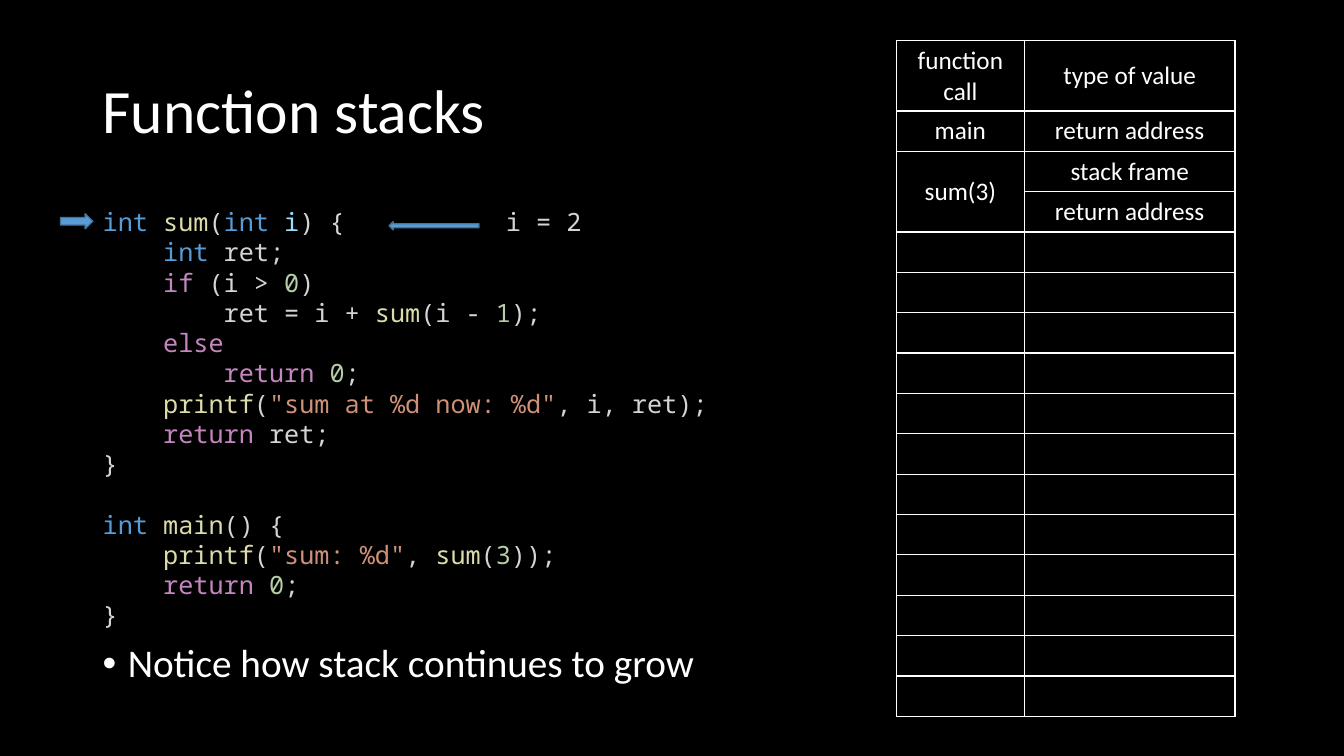
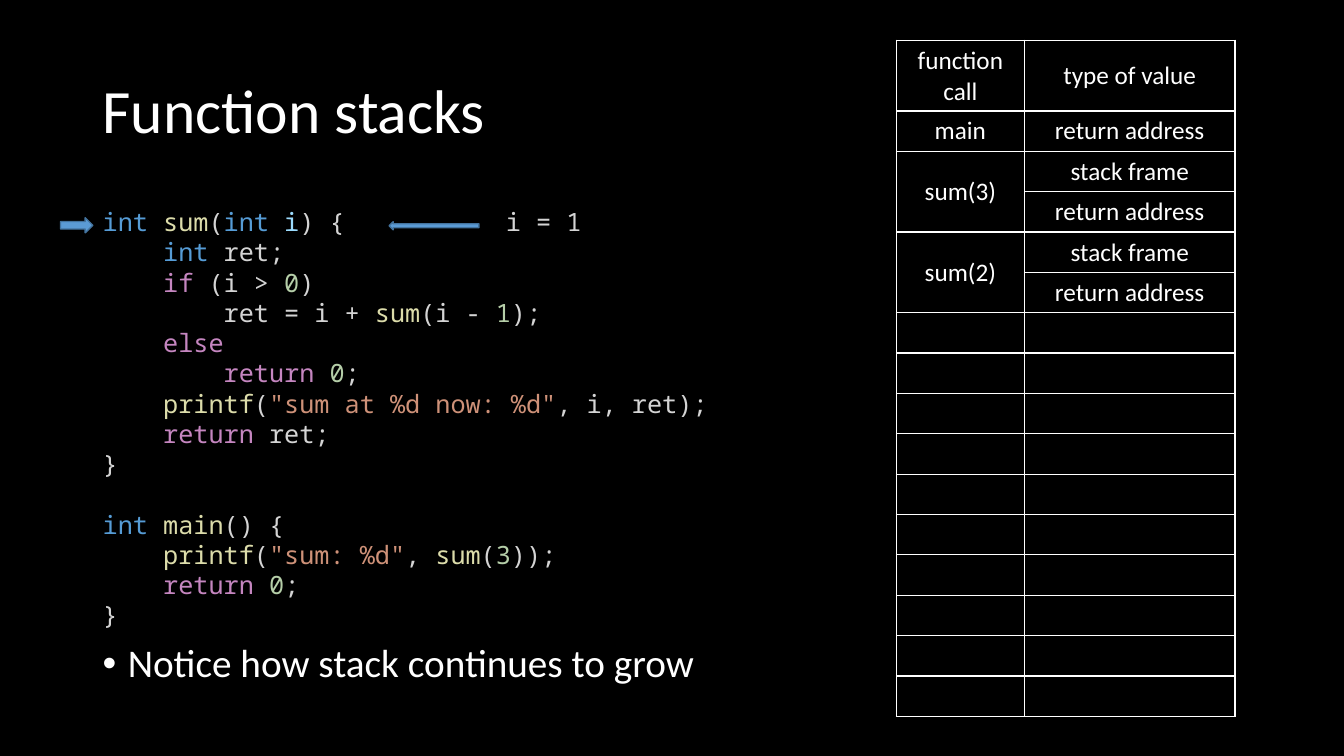
from dataclasses import dataclass
from typing import Any, NamedTuple

from lxml import etree
from pptx import Presentation
from pptx import util as u
from pptx.dml.color import RGBColor
from pptx.enum import shapes, text
from pptx.oxml import ns

BLACK = RGBColor(0x00, 0x00, 0x00)
WHITE = RGBColor(0xFF, 0xFF, 0xFF)
ARROW_FILL = RGBColor(0x5B, 0x9B, 0xD5)
ARROW_LINE = RGBColor(0x43, 0x73, 0x9E)
KEYWORD = RGBColor(0x56, 0x9C, 0xD6)
CONTROL = RGBColor(0xC5, 0x86, 0xC0)
FUNCTION = RGBColor(0xDC, 0xDC, 0xAA)
PARAMETER = RGBColor(0x9C, 0xDC, 0xFE)
NUMBER = RGBColor(0xB5, 0xCE, 0xA8)
STRING = RGBColor(0xCE, 0x91, 0x78)
PLAIN = RGBColor(0xD4, 0xD4, 0xD4)

TITLE_FONT = {"name": "Calibri", "size": u.Pt(44)}
BODY_FONT = {"name": "Calibri", "size": u.Pt(28)}
TABLE_FONT = {"name": "Calibri", "size": u.Pt(18)}
CODE_FONT = {"name": "Noto Sans Mono", "size": u.Pt(18)}

ROW_COUNT = 16
HEADER_HEIGHT = u.Inches(0.7)
ROW_HEIGHT = u.Inches(0.4)
COLUMN_WIDTHS = (u.Inches(1.27), u.Inches(2.09))
CODE_INDENT = u.Inches(0.6)


class Box(NamedTuple):
    left: float
    top: float
    width: float
    height: float

    def lengths(self) -> list[u.Length]:
        return [u.Inches(value) for value in self]


class Token(NamedTuple):
    text: str
    color: RGBColor = PLAIN


@dataclass(frozen=True)
class CodeLine:
    level: int
    tokens: tuple[Token, ...]
    space_before: float = 0


@dataclass(frozen=True)
class Step:
    argument: int
    stacked_calls: tuple[str, ...]
    pointer_top: float


STEPS = (
    Step(2, ("sum(3)",), 2.12),
    Step(1, ("sum(3)", "sum(2)"), 2.16),
)

RETURN_ZERO = (Token("return ", CONTROL), Token("0", NUMBER), Token(";"))

CODE = (
    CodeLine(0, (Token("int ", KEYWORD), Token("sum", FUNCTION), Token("("),
                 Token("int ", KEYWORD), Token("i", PARAMETER), Token(") {"))),
    CodeLine(1, (Token("int", KEYWORD), Token(" ret;"))),
    CodeLine(1, (Token("if", CONTROL), Token(" (i > "), Token("0", NUMBER), Token(")"))),
    CodeLine(2, (Token("ret = i + "), Token("sum", FUNCTION), Token("(i - "),
                 Token("1", NUMBER), Token(");"))),
    CodeLine(1, (Token("else", CONTROL),)),
    CodeLine(2, RETURN_ZERO),
    CodeLine(1, (Token("printf", FUNCTION), Token("("),
                 Token('"sum at %d now: %d"', STRING), Token(", i, ret);"))),
    CodeLine(1, (Token("return", CONTROL), Token(" ret;"))),
    CodeLine(0, (Token("}"),)),
    CodeLine(0, (Token("int ", KEYWORD), Token("main", FUNCTION), Token("() {")), 21.6),
    CodeLine(1, (Token("printf", FUNCTION), Token("("), Token('"sum: %d"', STRING),
                 Token(", "), Token("sum", FUNCTION), Token("("), Token("3", NUMBER),
                 Token("));"))),
    CodeLine(1, RETURN_ZERO),
    CodeLine(0, (Token("}"),)),
)


def apply_format(target: Any, values: dict[str, Any]) -> None:
    for name, value in values.items():
        setattr(target, name, value)


def add_run(paragraph: Any, content: str, font: dict[str, Any], color: RGBColor) -> None:
    run = paragraph.add_run()
    run.text = content
    apply_format(run.font, font)
    run.font.color.rgb = color


def add_text_frame(slide: Any, box: Box, anchor: Any = text.MSO_ANCHOR.TOP) -> Any:
    frame = slide.shapes.add_textbox(*box.lengths()).text_frame
    apply_format(frame, {"word_wrap": True, "vertical_anchor": anchor})
    return frame


def add_title(slide: Any, content: str) -> None:
    frame = add_text_frame(slide, Box(0.92, 0.4, 11.5, 1.45), text.MSO_ANCHOR.MIDDLE)
    paragraph = frame.paragraphs[0]
    paragraph.line_spacing = 0.9
    add_run(paragraph, content, TITLE_FONT, WHITE)


def add_bullet(slide: Any, content: str) -> None:
    paragraph = add_text_frame(slide, Box(0.92, 6.34, 11.5, 0.76)).paragraphs[0]
    apply_format(paragraph, {"line_spacing": 0.9, "space_before": u.Pt(10)})
    add_run(paragraph, content, BODY_FONT, WHITE)
    properties = paragraph._p.get_or_add_pPr()
    indent = u.Inches(0.25)
    properties.set("marL", str(indent))
    properties.set("indent", str(-indent))
    etree.SubElement(properties, ns.qn("a:buFont"), typeface="Arial")
    etree.SubElement(properties, ns.qn("a:buChar"), char="•")


def add_code(slide: Any, box: Box, lines: tuple[CodeLine, ...]) -> None:
    frame = add_text_frame(slide, box)
    for index, line in enumerate(lines):
        paragraph = frame.add_paragraph() if index else frame.paragraphs[0]
        paragraph.space_before = u.Pt(line.space_before)
        properties = paragraph._p.get_or_add_pPr()
        properties.set("marL", str(line.level * CODE_INDENT))
        properties.set("indent", "0")
        for token in line.tokens:
            add_run(paragraph, token.text, CODE_FONT, token.color)


def add_arrow(slide: Any, kind: Any, box: Box) -> None:
    arrow = slide.shapes.add_shape(kind, *box.lengths())
    arrow.shadow.inherit = False
    arrow.fill.solid()
    arrow.fill.fore_color.rgb = ARROW_FILL
    arrow.line.color.rgb = ARROW_LINE
    arrow.line.width = u.Pt(1)


def add_borders(cell: Any) -> None:
    properties = cell._tc.get_or_add_tcPr()
    for side in ("lnL", "lnR", "lnT", "lnB"):
        border = etree.SubElement(properties, ns.qn(f"a:{side}"), w=str(u.Pt(1)))
        fill = etree.SubElement(border, ns.qn("a:solidFill"))
        etree.SubElement(fill, ns.qn("a:srgbClr"), val=str(WHITE))


def add_stack_table(slide: Any, stacked_calls: tuple[str, ...]) -> None:
    rows = [("function call", "type of value"), ("main", "return address")]
    for call in stacked_calls:
        rows += [(call, "stack frame"), ("", "return address")]
    rows += [("", "")] * (ROW_COUNT - len(rows))

    box = Box(8.89, 0.4, 3.36, 6.7)
    table = slide.shapes.add_table(ROW_COUNT, len(COLUMN_WIDTHS), *box.lengths()).table
    apply_format(table, {"first_row": False, "horz_banding": False})
    for column, width in zip(table.columns, COLUMN_WIDTHS):
        column.width = width
    for index, row in enumerate(table.rows):
        row.height = ROW_HEIGHT if index else HEADER_HEIGHT
        for cell, content in zip(row.cells, rows[index]):
            add_borders(cell)
            cell.fill.background()
            cell.vertical_anchor = text.MSO_ANCHOR.MIDDLE
            if content:
                paragraph = cell.text_frame.paragraphs[0]
                paragraph.alignment = text.PP_ALIGN.CENTER
                add_run(paragraph, content, TABLE_FONT, WHITE)
    for index in range(len(stacked_calls)):
        first = 2 + 2 * index
        table.cell(first, 0).merge(table.cell(first + 1, 0))


def add_step_slide(presentation: Any, step: Step) -> None:
    slide = presentation.slides.add_slide(presentation.slide_layouts[6])
    add_title(slide, "Function stacks")
    add_code(slide, Box(0.92, 2, 6.67, 4.64), CODE)
    argument_note = CodeLine(0, (Token(f"i = {step.argument}"),))
    add_code(slide, Box(4.92, 2, 1.5, 0.4), (argument_note,))
    add_stack_table(slide, step.stacked_calls)
    add_arrow(slide, shapes.MSO_SHAPE.RIGHT_ARROW, Box(0.6, step.pointer_top, 0.32, 0.15))
    add_arrow(slide, shapes.MSO_SHAPE.LEFT_ARROW, Box(3.86, 2.2, 0.89, 0.08))
    add_bullet(slide, "Notice how stack continues to grow")


def main() -> None:
    presentation = Presentation()
    apply_format(presentation, {"slide_width": u.Inches(13.33), "slide_height": u.Inches(7.5)})
    background = presentation.slide_master.background.fill
    background.solid()
    background.fore_color.rgb = BLACK
    for step in STEPS:
        add_step_slide(presentation, step)
    presentation.save("out.pptx")


if __name__ == "__main__":
    main()
